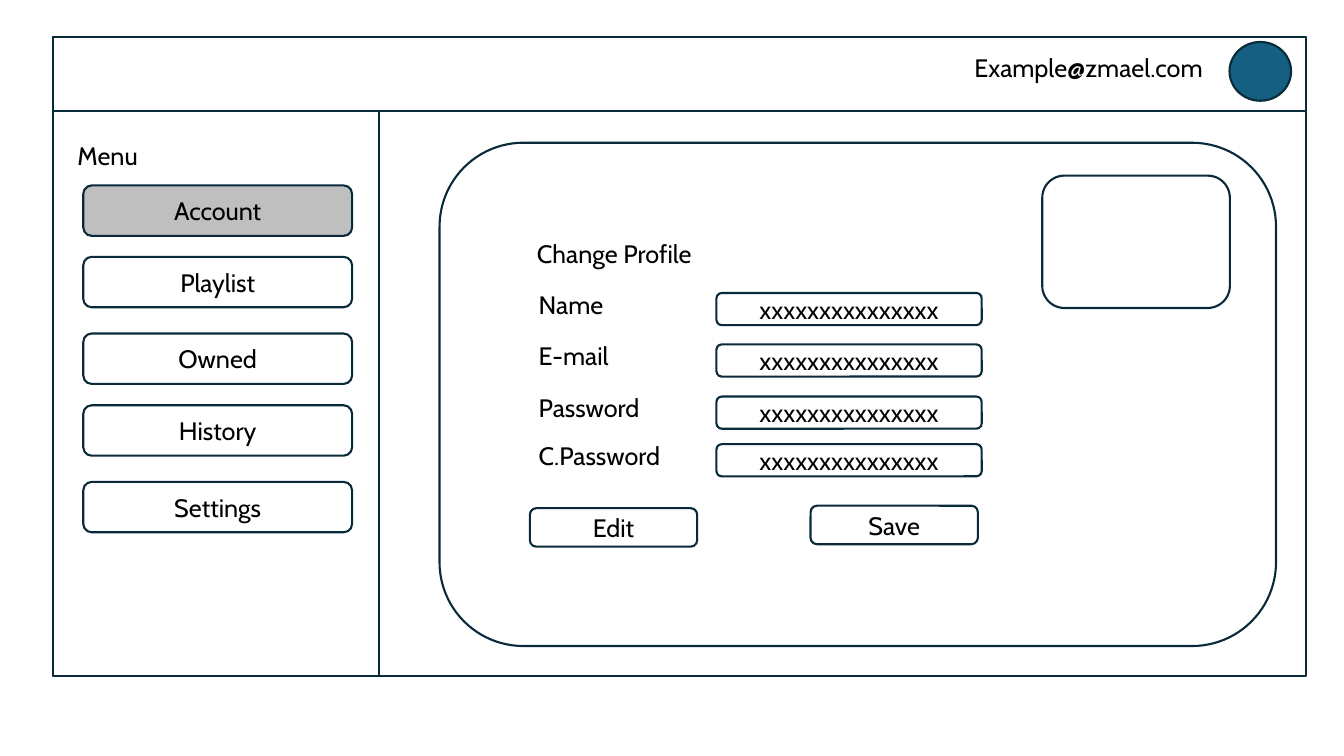
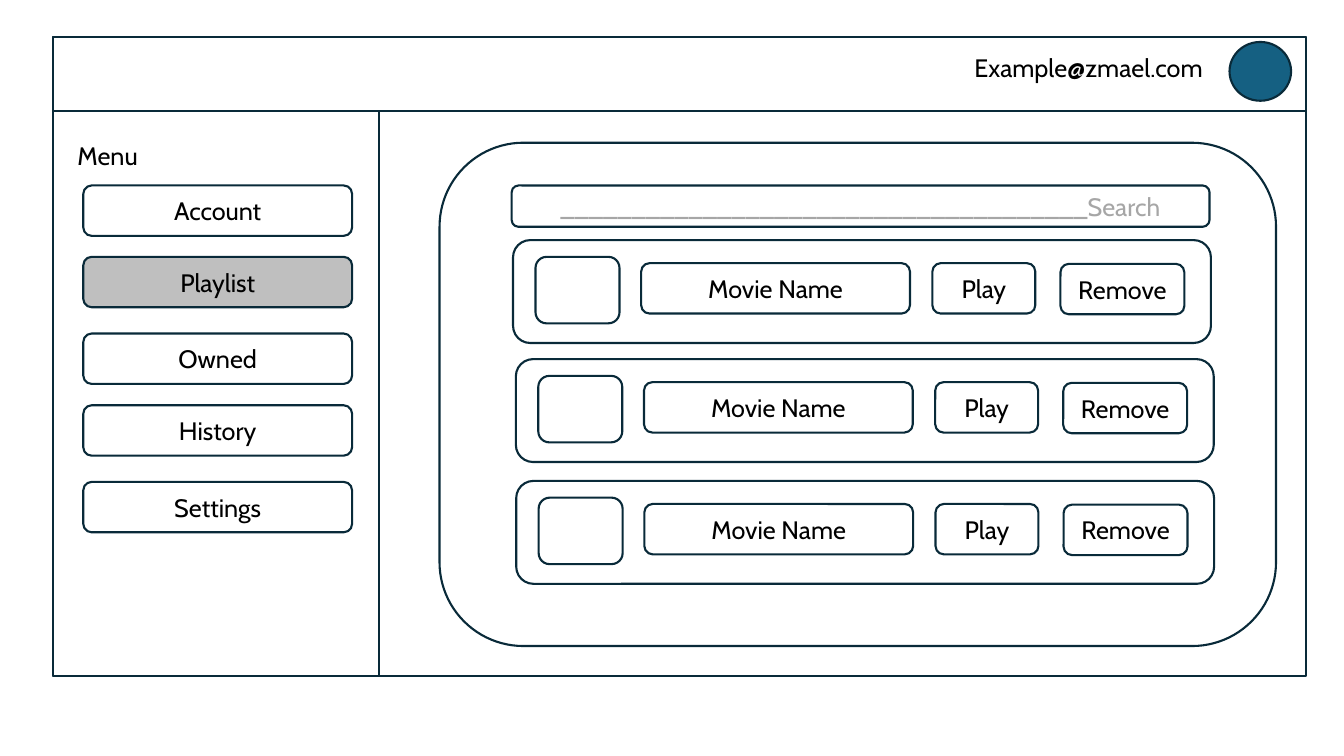
from pptx import Presentation
from pptx.dml.color import RGBColor
from pptx.enum.shapes import MSO_SHAPE
from pptx.enum.text import MSO_ANCHOR, MSO_AUTO_SIZE, PP_ALIGN
from pptx.util import Pt

COLORS = {
    "outline": "092A39",
    "avatar": "156082",
    "selected": "BFBFBF",
    "text": "000000",
    "hint": "A6A6A6",
}
FONT = "Cabin"
TEXT_SIZE = 18
LINE_WIDTH = 1.5

# Menu entries and their top edges
MENU = {"Account": 132.5, "Playlist": 183.5, "Owned": 238.25,
        "History": 289.5, "Settings": 344.25}
# Profile fields and the top edges of their labels
FIELDS = {"Name": 203, "E-mail": 239.75, "Password": 277, "C.Password": 311}
# Left and top of each playlist row
ROWS = [(366.5, 171.5), (368.5, 256.5), (368.75, 343.5)]


class Wireframe:
    """Holds the shared style and the page being drawn."""

    def __init__(self):
        self.deck = Presentation()
        self.deck.slide_width = Pt(960)
        self.deck.slide_height = Pt(540)
        self.page = None

    def style_text(self, frame, text, color, align):
        frame.text = text
        para = frame.paragraphs[0]
        para.alignment = align
        for span in para.runs:
            span.font.name = FONT
            span.font.size = Pt(TEXT_SIZE)
            span.font.color.rgb = RGBColor.from_string(COLORS[color])

    def label(self, left, top, width, text):
        box = self.page.shapes.add_textbox(Pt(left), Pt(top), Pt(width), Pt(29))
        frame = box.text_frame
        frame.word_wrap = True
        frame.auto_size = MSO_AUTO_SIZE.SHAPE_TO_FIT_TEXT
        self.style_text(frame, text, "text", PP_ALIGN.LEFT)

    def outline(self, left, top, width, height, kind=MSO_SHAPE.RECTANGLE, fill=None):
        """Add an outlined shape, hollow unless a fill colour is named."""
        shape = self.page.shapes.add_shape(
            kind, Pt(left), Pt(top), Pt(width), Pt(height))
        shape.shadow.inherit = False
        if fill:
            shape.fill.solid()
            shape.fill.fore_color.rgb = RGBColor.from_string(COLORS[fill])
        else:
            shape.fill.background()
        shape.line.color.rgb = RGBColor.from_string(COLORS["outline"])
        shape.line.width = Pt(LINE_WIDTH)
        return shape

    def rounded(self, left, top, width, height, text="", fill=None, color="text"):
        shape = self.outline(left, top, width, height,
                             MSO_SHAPE.ROUNDED_RECTANGLE, fill)
        if text:
            shape.text_frame.vertical_anchor = MSO_ANCHOR.MIDDLE
            self.style_text(shape.text_frame, text, color, PP_ALIGN.CENTER)

    def start_page(self, selected):
        """Add a page with the header, the menu and the empty content panel."""
        self.page = self.deck.slides.add_slide(self.deck.slide_layouts[6])
        self.outline(37.75, 26.25, 895, 456.5)
        self.outline(37.75, 26.25, 895, 53)
        self.label(689, 34, 196.5, "Example@zmael.com")
        self.outline(878.25, 30, 44, 42, MSO_SHAPE.OVAL, "avatar")
        self.outline(37.75, 79.25, 233, 403.5)
        self.label(48.25, 96.5, 127.5, "Menu")
        for name, top in MENU.items():
            fill = "selected" if name == selected else None
            self.rounded(59.5, top, 192, 36, name, fill)
        self.rounded(314, 102, 597.5, 359.5)

    def field(self, top, name):
        self.label(377.75, top, 113, name)
        self.rounded(511.75, top + 6.25, 189.5, 23, "x" * 15)

    def movie_row(self, left, top):
        self.rounded(left, top, 498.5, 73.5)
        self.rounded(left + 16, top + 12, 60, 47.5)
        self.rounded(left + 91.5, top + 16.5, 192, 36, "Movie Name")
        self.rounded(left + 299.5, top + 16.5, 73.5, 36, "Play")
        self.rounded(left + 391, top + 17, 88.5, 36, "Remove")


def draw_account(wireframe):
    wireframe.start_page("Account")
    wireframe.rounded(744.5, 125.5, 134, 94.5)
    wireframe.label(376.5, 166.5, 232, "Change Profile")
    for name, top in FIELDS.items():
        wireframe.field(top, name)
    wireframe.rounded(378.5, 363, 119.5, 27.5, "Edit")
    wireframe.rounded(579, 361.25, 119.5, 27.5, "Save")


def draw_playlist(wireframe):
    wireframe.start_page("Playlist")
    wireframe.rounded(365.5, 132.5, 498.5, 29.5, "_" * 37 + "Search", color="hint")
    for left, top in ROWS:
        wireframe.movie_row(left, top)


def main():
    wireframe = Wireframe()
    draw_account(wireframe)
    draw_playlist(wireframe)
    wireframe.deck.save("out.pptx")


if __name__ == "__main__":
    main()
